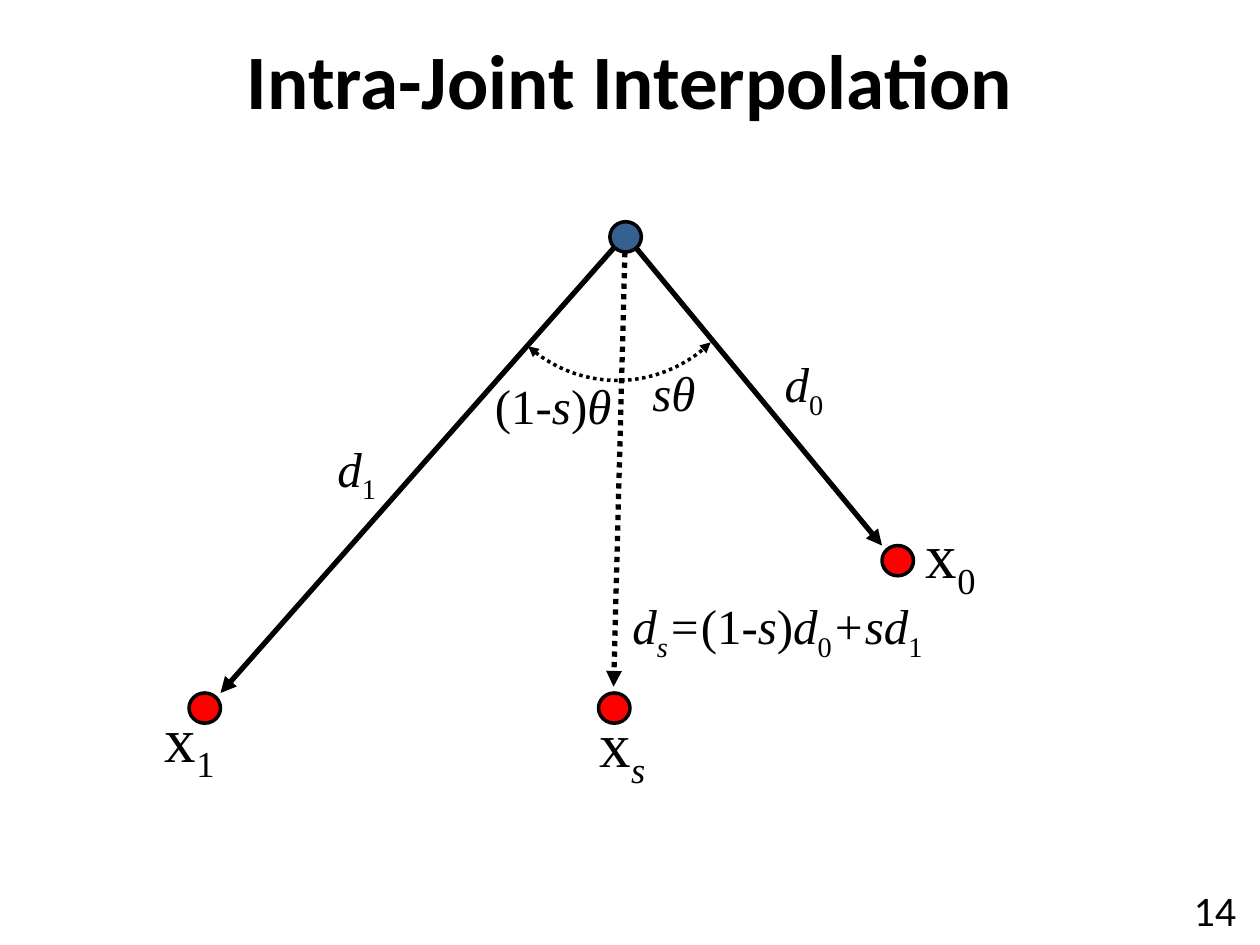
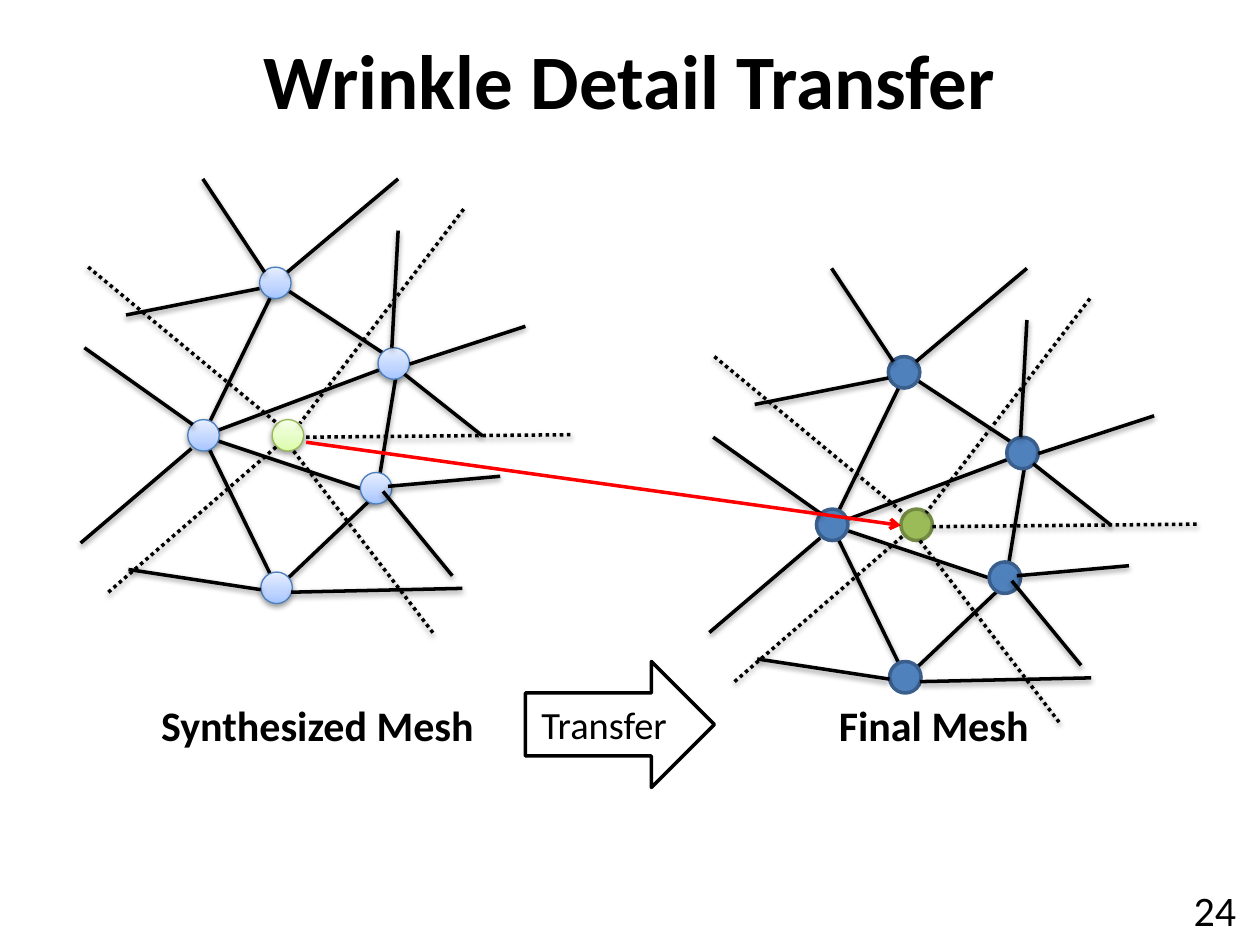
from itertools import combinations
from lxml.etree import SubElement
from pptx import Presentation
from pptx.dml.color import RGBColor
from pptx.enum.dml import MSO_LINE
from pptx.enum.shapes import MSO_CONNECTOR, MSO_SHAPE
from pptx.enum.text import MSO_ANCHOR, MSO_AUTO_SIZE, PP_ALIGN
from pptx.oxml.ns import qn
from pptx.util import Inches, Pt

BLACK, WHITE, RED = "000000", "FFFFFF", "FF0000"
SANS, SERIF = "Calibri", "Times New Roman"
JOINT_SIZE = (0.25, 0.24)
NODE_SIZE = (0.25, 0.25)

SOFT_BLUE = ((0, "A4C4FF"), (35, "BFD4FF"), (100, "E6EEFF"))
SOFT_GREEN = ((0, "DAFDA7"), (35, "E4FCC2"), (100, "F5FFE7"))
SYNTHESIZED_STYLE = {
    "node": (SOFT_BLUE, "4B7EBC", 0.75, True),
    "center": (SOFT_GREEN, "98B955", 0.75, True),
}
FINAL_STYLE = {
    "node": ("4F81BD", "3A5F8C", 2, False),
    "center": ("9BBB59", "738A42", 2, False),
}

TOP, RIGHT, LEFT = (2.2, 2.25), (3.16, 2.88), (1.61, 3.46)
LOWER_RIGHT, BOTTOM = (2.99, 3.92), (2.2, 4.67)
MESH_EDGES = [
    *combinations((TOP, RIGHT, LEFT), 2),
    *combinations((BOTTOM, LOWER_RIGHT, LEFT), 2),
    (RIGHT, LOWER_RIGHT),
]
MESH_NODES = [(2.06, 2.12), (3, 2.76), (1.49, 3.33), (2.86, 3.75), (2.07, 4.54)]
MESH_CENTER = (2.16, 3.33)
MESH_SPOKES = [
    ((3.16, 1.42), (2.28, 2.16)),
    ((1.61, 1.42), (2.1, 2.16)),
    ((2.06, 2.29), (1, 2.5)),
    ((0.67, 2.76), (1.53, 3.37)),
    ((3.11, 2.76), (3.16, 1.83)),
    ((4.17, 2.59), (3.25, 2.89)),
    ((3.83, 3.46), (3.21, 2.97)),
    ((3.97, 3.78), (3.08, 3.86)),
    ((3.59, 4.57), (3.04, 3.9)),
    ((1.52, 3.56), (0.64, 4.31)),
    ((3.67, 4.67), (2.31, 4.7)),
    ((2.07, 4.68), (1.02, 4.52)),
]
CENTER_SPOKES = [
    ((0.7, 2.12), (2.2, 3.36)),
    ((3.68, 1.66), (2.38, 3.36)),
    ((0.86, 4.7), (2.2, 3.54)),
    ((2.33, 3.58), (3.45, 5.04)),
    ((2.43, 3.47), (4.53, 3.45)),
]


def color(hex_value):
    return RGBColor.from_string(hex_value)


def inches(*lengths):
    return [Inches(length) for length in lengths]


def set_shadow(shape, visible):
    effects = SubElement(shape._element.spPr, qn("a:effectLst"))
    if visible:
        shadow = SubElement(effects, qn("a:outerShdw"), blurRad="40000",
                            dist="20000", dir="5400000", rotWithShape="0")
        black = SubElement(shadow, qn("a:srgbClr"), val=BLACK)
        SubElement(black, qn("a:alpha"), val="38000")


def set_line(shape, line_color, width, dotted=False, head=None, tail=None):
    line = shape.line
    line.color.rgb = color(line_color)
    line.width = Pt(width)
    if dotted:
        line.dash_style = MSO_LINE.ROUND_DOT
    for tag, arrow in (("a:headEnd", head), ("a:tailEnd", tail)):
        if arrow:
            SubElement(line._get_or_add_ln(), qn(tag), type=arrow)


def set_gradient(shape, stops):
    properties = shape._element.spPr
    gradient = SubElement(properties, qn("a:gradFill"), rotWithShape="1")
    stop_list = SubElement(gradient, qn("a:gsLst"))
    for position, stop_color in stops:
        stop = SubElement(stop_list, qn("a:gs"), pos=str(position * 1000))
        SubElement(stop, qn("a:srgbClr"), val=stop_color)
    SubElement(gradient, qn("a:lin"), ang="16200000", scaled="0")


def add_line(slide, start, end, width=2, line_color=BLACK, dotted=False,
             tail=None, shadow=False):
    connector = slide.shapes.add_connector(MSO_CONNECTOR.STRAIGHT, *inches(*start, *end))
    set_line(connector, line_color, width, dotted, tail=tail)
    set_shadow(connector, shadow)


def add_preset(slide, preset, position, size, fill, line_color=BLACK, width=2, shadow=False):
    shape = slide.shapes.add_shape(preset, *inches(*position, *size))
    if isinstance(fill, tuple):
        set_gradient(shape, fill)
    else:
        shape.fill.solid()
        shape.fill.fore_color.rgb = color(fill)
    set_line(shape, line_color, width)
    set_shadow(shape, shadow)
    return shape


def set_font(paragraph, size, name=SANS, bold=False):
    font = paragraph.font
    font.size = Pt(size)
    font.name = name
    font.bold = bold
    font.color.rgb = color(BLACK)


def add_text(slide, text, box, size, alignment=PP_ALIGN.LEFT, bold=False):
    frame = slide.shapes.add_textbox(*inches(*box)).text_frame
    frame.word_wrap = True
    frame.vertical_anchor = MSO_ANCHOR.MIDDLE
    paragraph = frame.paragraphs[0]
    paragraph.text = text
    paragraph.alignment = alignment
    set_font(paragraph, size, bold=bold)
    return frame


def add_caption(slide, text, box):
    frame = add_text(slide, text, box, 24, bold=True)
    frame.word_wrap = False
    frame.vertical_anchor = MSO_ANCHOR.TOP
    frame.auto_size = MSO_AUTO_SIZE.SHAPE_TO_FIT_TEXT


def add_formula(slide, box, size, *parts):
    frame = slide.shapes.add_textbox(*inches(*box)).text_frame
    frame.word_wrap = False
    frame.auto_size = MSO_AUTO_SIZE.SHAPE_TO_FIT_TEXT
    paragraph = frame.paragraphs[0]
    set_font(paragraph, size, SERIF)
    for text, style in parts:
        run = paragraph.add_run()
        run.text = text
        run.font.italic = "italic" in style
        if "sub" in style:
            run.font._element.set("baseline", "-25000")


def add_angle_arc(slide):
    arc = slide.shapes.add_shape(MSO_SHAPE.ARC, *inches(3.83, 0.85, 2.14, 2.17))
    arc.adjustments[0] = 137.385
    arc.adjustments[1] = 188.076
    arc._element.spPr.find(qn("a:xfrm")).set("flipV", "1")
    arc.fill.background()
    set_line(arc, BLACK, 2, dotted=True, head="triangle", tail="triangle")
    set_shadow(arc, False)


def add_mesh(slide, style, offset=(0, 0), center_offset=(0, 0)):
    def moved(point, shift=offset):
        return point[0] + shift[0], point[1] + shift[1]

    def add_node(position, kind):
        add_preset(slide, MSO_SHAPE.OVAL, moved(position), NODE_SIZE, *style[kind])

    def add_lines(lines, shift=offset, dotted=False):
        for start, end in lines:
            add_line(slide, moved(start, shift), moved(end, shift), dotted=dotted, shadow=True)

    add_node(MESH_CENTER, "center")
    add_lines(MESH_EDGES)
    for position in MESH_NODES:
        add_node(position, "node")
    add_lines(MESH_SPOKES)
    add_lines(CENTER_SPOKES, center_offset, dotted=True)


def add_titled_slide(presentation, title, number):
    slide = presentation.slides.add_slide(presentation.slide_layouts[6])
    add_text(slide, title, (0.5, 0, 9, 1.25), 44, PP_ALIGN.CENTER, bold=True)
    add_text(slide, str(number), (7.58, 7.02, 2.33, 0.4), 24, PP_ALIGN.RIGHT)
    return slide


def build_interpolation(presentation):
    slide = add_titled_slide(presentation, "Intra-Joint Interpolation", 14)
    add_line(slide, (5.05, 1.97), (7, 4.33), 3, tail="triangle")
    add_line(slide, (4.87, 1.97), (1.75, 5.5), 3, tail="triangle")
    add_line(slide, (4.96, 2), (4.87, 5.45), 3, dotted=True, tail="triangle")
    add_angle_arc(slide)
    add_preset(slide, MSO_SHAPE.OVAL, (4.84, 1.76), JOINT_SIZE, "376092")
    for position in ((1.5, 5.5), (7, 4.33), (4.75, 5.5)):
        add_preset(slide, MSO_SHAPE.OVAL, position, JOINT_SIZE, RED)

    add_formula(slide, (7.25, 4.04, 0.62, 0.71), 36, ("x", ""), ("0", "sub"))
    add_formula(slide, (1.21, 5.5, 0.62, 0.71), 36, ("x", ""), ("1", "sub"))
    add_formula(slide, (4.66, 5.54, 0.59, 0.71), 36, ("x", ""), ("s", "italic sub"))
    add_formula(slide, (5.08, 2.83, 0.55, 0.57), 28, ("sθ", "italic"))
    add_formula(slide, (3.83, 2.93, 1.14, 0.57), 28,
                ("(1", ""), ("-s", "italic"), (")", ""), ("θ", "italic"))
    add_formula(slide, (2.58, 3.43, 0.53, 0.57), 28, ("d", "italic"), ("1", "sub"))
    add_formula(slide, (6.13, 2.76, 0.53, 0.57), 28, ("d", "italic"), ("0", "sub"))
    add_formula(slide, (4.92, 4.68, 2.58, 0.57), 28,
                ("d", "italic"), ("s", "italic sub"), ("=", "italic"), ("(1", ""),
                ("-s", "italic"), (")", ""), ("d", "italic"), ("0", "sub"),
                ("+sd", "italic"), ("1", "sub"))


def build_transfer(presentation):
    slide = add_titled_slide(presentation, "Wrinkle Detail Transfer", 24)
    add_mesh(slide, SYNTHESIZED_STYLE)
    add_mesh(slide, FINAL_STYLE, (4.99, 0.71), (4.97, 0.71))
    add_line(slide, (2.43, 3.51), (7.15, 4.17), line_color=RED, tail="arrow")
    arrow = add_preset(slide, MSO_SHAPE.RIGHT_ARROW, (4.17, 5.25), (1.5, 1), WHITE)
    arrow.text_frame.vertical_anchor = MSO_ANCHOR.MIDDLE
    paragraph = arrow.text_frame.paragraphs[0]
    paragraph.text = "Transfer"
    paragraph.alignment = PP_ALIGN.CENTER
    set_font(paragraph, 22)
    add_caption(slide, "Synthesized Mesh", (1.18, 5.5, 2.71, 0.5))
    add_caption(slide, "Final Mesh", (6.56, 5.5, 1.72, 0.5))


def main():
    presentation = Presentation()
    presentation.slide_width = Inches(10)
    presentation.slide_height = Inches(7.5)
    build_interpolation(presentation)
    build_transfer(presentation)
    presentation.save("out.pptx")


if __name__ == "__main__":
    main()
